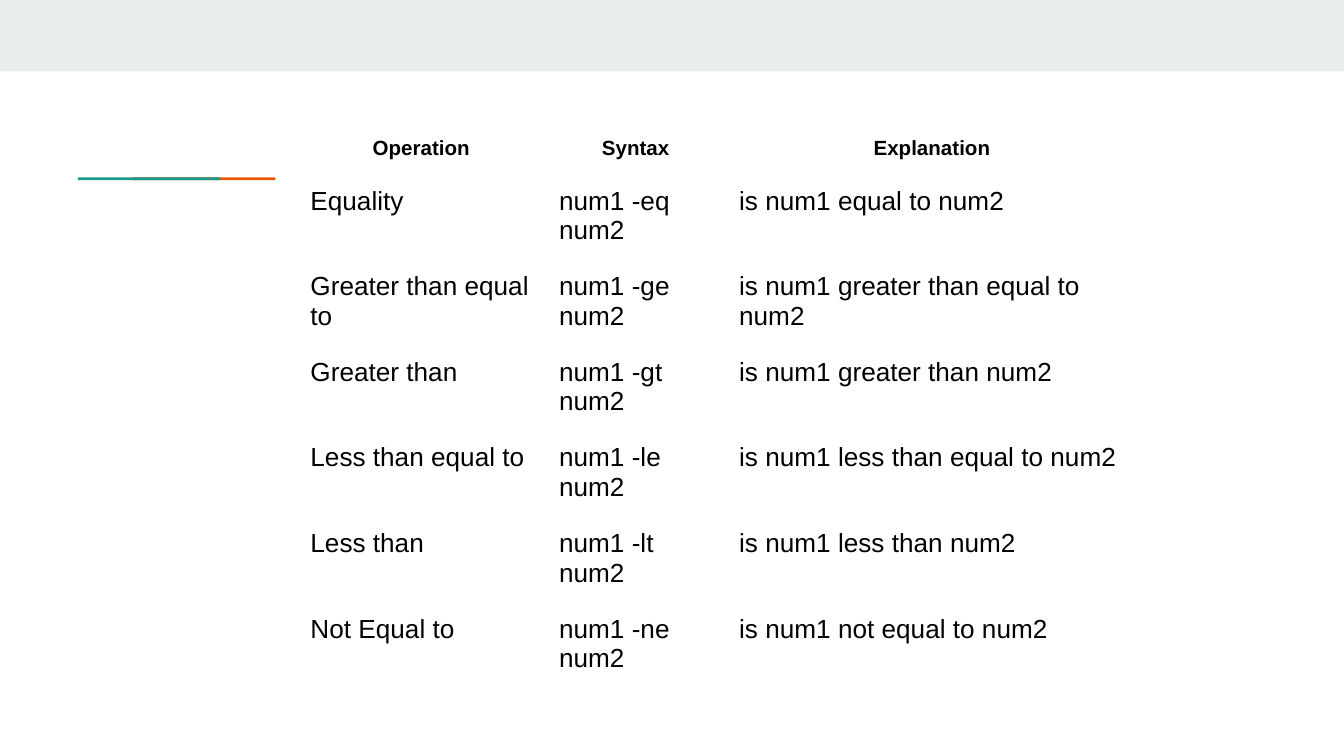
import pptx
import pptx.dml.color
import pptx.enum.shapes
import pptx.enum.text
import pptx.util

inch = pptx.util.Inches
align = pptx.enum.text.PP_ALIGN


def colour(hex_code):
    return pptx.dml.color.RGBColor.from_string(hex_code)


deck = pptx.Presentation()
deck.slide_width = inch(10)
deck.slide_height = deck.slide_width * 9 // 16
page = deck.slides.add_slide(deck.slide_layouts[6])

# Top band, then the accent line: two equal strips, teal overlapping orange
strip_width = 1.06
strips = [
    (0, 0, 10, 0.53, "E9EDEE"),
    (0.99, 1.32, strip_width, 0.02, "EB5600"),
    (0.58, 1.32, strip_width, 0.02, "1A9988"),
]
for left, top, width, height, fill in strips:
    box = page.shapes.add_shape(
        pptx.enum.shapes.MSO_SHAPE.RECTANGLE,
        inch(left), inch(top), inch(width), inch(height))
    box.shadow.inherit = False
    box.fill.solid()
    box.fill.fore_color.rgb = colour(fill)
    box.line.fill.background()

# Comparison operators; rows grow to fit their text
operators = [
    ("Operation", "Syntax", "Explanation"),
    ("Equality", "num1 -eq num2", "is num1 equal to num2"),
    ("Greater than equal to", "num1 -ge num2", "is num1 greater than equal to num2"),
    ("Greater than", "num1 -gt num2", "is num1 greater than num2"),
    ("Less than equal to", "num1 -le num2", "is num1 less than equal to num2"),
    ("Less than", "num1 -lt num2", "is num1 less than num2"),
    ("Not Equal to", "num1 -ne num2", "is num1 not equal to num2"),
]
column_widths = [1.85, 1.34, 3.07]
header_height, row_height = 0.23, 0.22
table_height = header_height + row_height * (len(operators) - 1)

header_para = {"alignment": align.CENTER, "line_spacing": 1.15}
body_para = {"alignment": align.LEFT}
header_font = {"name": "Arial", "size": pptx.util.Pt(11), "bold": True}
body_font = {"name": "Arial", "size": pptx.util.Pt(14), "bold": False}
margins = {f"margin_{side}": inch(0.1) for side in ("left", "top", "right", "bottom")}

table = page.shapes.add_table(
    len(operators), len(column_widths), inch(2.21), inch(0.89),
    inch(sum(column_widths)), inch(table_height)).table
table.first_row = False
table.horz_banding = False
for column, width in zip(table.columns, column_widths):
    column.width = inch(width)

for index, (row, texts) in enumerate(zip(table.rows, operators)):
    is_header = index == 0
    row.height = inch(header_height if is_header else row_height)
    for cell, text in zip(row.cells, texts):
        cell.fill.background()
        para = cell.text_frame.paragraphs[0]
        span = para.add_run()
        span.text = text
        span.font.color.rgb = colour("000000")
        for target, values in (
            (cell, margins),
            (para, header_para if is_header else body_para),
            (span.font, header_font if is_header else body_font),
        ):
            for name, value in values.items():
                setattr(target, name, value)

deck.save("out.pptx")
